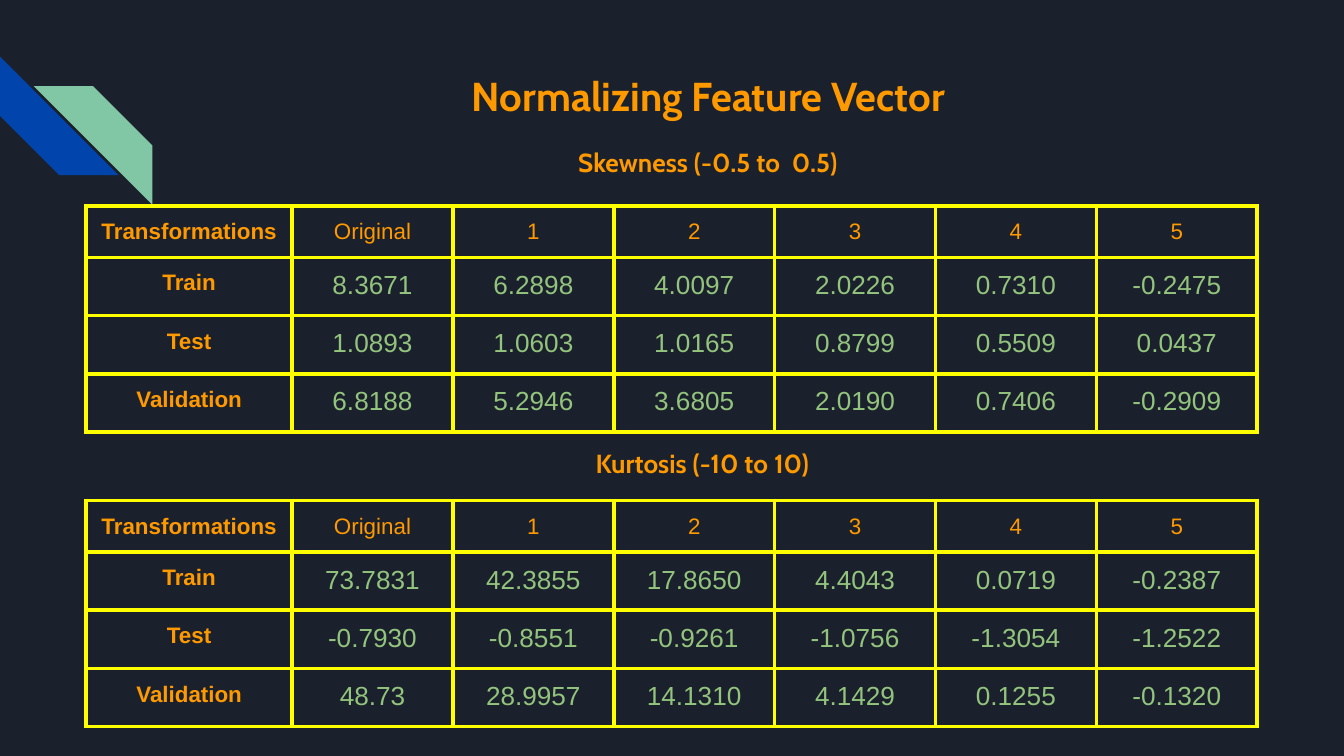
from dataclasses import dataclass

from lxml.etree import SubElement
from pptx import Presentation
from pptx.dml.color import RGBColor
from pptx.enum.shapes import MSO_SHAPE as Shape
from pptx.enum.text import MSO_ANCHOR as Anchor, PP_ALIGN as Align
from pptx.oxml.ns import qn
from pptx.util import Cm, Pt

NAVY = RGBColor(0x1B, 0x21, 0x2C)
BLUE = RGBColor(0x01, 0x45, 0xAC)
MINT = RGBColor(0x82, 0xC7, 0xA5)
ORANGE = RGBColor(0xFF, 0x99, 0x00)
GREEN = RGBColor(0x93, 0xC4, 0x7D)
YELLOW = RGBColor(0xFF, 0xFF, 0x00)

INSET = Cm(0.25)
TABLE_LEFT = 1.63
LABEL_WIDTH, VALUE_WIDTH = 3.89, 3.04
HEADER_HEIGHT, ROW_HEIGHT = 0.97, 1.1
STRIPE_SIZE = 2.24
HEADER = ("Transformations", "Original", "1", "2", "3", "4", "5")


@dataclass
class Stripe:
    left: float
    top: float
    color: RGBColor
    rotation: int = 0
    flipped: bool = False


@dataclass
class Heading:
    text: str
    left: float
    top: float
    width: float
    height: float
    size: float


@dataclass
class Moments:
    top: float
    rows: tuple[tuple[str, ...], ...]


STRIPES = (
    Stripe(0, 1.07, BLUE, rotation=270),
    Stripe(0.64, 1.63, MINT, flipped=True),
)

HEADINGS = (
    Heading("Normalizing Feature Vector", 3.61, 1.09, 19.56, 1.55, 21.6),
    Heading("Skewness (-0.5 to  0.5)", 10.13, 2.51, 6.5, 1.12, 14),
    Heading("Kurtosis (-10 to 10)", 10.24, 8.2, 6.07, 1.12, 14),
)

SKEWNESS = Moments(3.89, (
    ("Train", "8.3671", "6.2898", "4.0097", "2.0226", "0.7310", "-0.2475"),
    ("Test", "1.0893", "1.0603", "1.0165", "0.8799", "0.5509", "0.0437"),
    ("Validation", "6.8188", "5.2946", "3.6805", "2.0190", "0.7406", "-0.2909"),
))
KURTOSIS = Moments(9.46, (
    ("Train", "73.7831", "42.3855", "17.8650", "4.4043", "0.0719", "-0.2387"),
    ("Test", "-0.7930", "-0.8551", "-0.9261", "-1.0756", "-1.3054", "-1.2522"),
    ("Validation", "48.73", "28.9957", "14.1310", "4.1429", "0.1255", "-0.1320"),
))


def style(p, font: str, size: float, color: RGBColor, bold: bool) -> None:
    p.alignment = Align.CENTER
    p.font.name = font
    p.font.size = Pt(size)
    p.font.color.rgb = color
    p.font.bold = bold


def set_insets(target) -> None:
    target.margin_left = target.margin_right = INSET
    target.margin_top = target.margin_bottom = INSET
    target.vertical_anchor = Anchor.TOP


def add_stripe(s, stripe: Stripe) -> None:
    sp = s.shapes.add_shape(Shape.DIAGONAL_STRIPE, Cm(stripe.left), Cm(stripe.top),
                            Cm(STRIPE_SIZE), Cm(STRIPE_SIZE))
    sp.shadow.inherit = False
    sp.rotation = stripe.rotation
    sp.fill.solid()
    sp.fill.fore_color.rgb = stripe.color
    sp.line.fill.background()
    if stripe.flipped:
        sp._element.spPr.get_or_add_xfrm().set("flipH", "1")


def add_heading(s, heading: Heading) -> None:
    sp = s.shapes.add_textbox(Cm(heading.left), Cm(heading.top),
                              Cm(heading.width), Cm(heading.height))
    tf = sp.text_frame
    tf.word_wrap = True
    set_insets(tf)
    p = tf.paragraphs[0]
    p.text = heading.text
    style(p, "Cabin", heading.size, ORANGE, True)


def add_borders(cell) -> None:
    props = cell._tc.get_or_add_tcPr()
    for i, side in enumerate(("lnL", "lnR", "lnT", "lnB")):
        line = props.makeelement(qn(f"a:{side}"), {"w": str(Pt(2.25))})
        fill = SubElement(line, qn("a:solidFill"))
        SubElement(fill, qn("a:srgbClr"), val=str(YELLOW))
        props.insert(i, line)  # borders come before the fill


def add_moments(s, moments: Moments) -> None:
    rows = (HEADER, *moments.rows)
    widths = [LABEL_WIDTH] + [VALUE_WIDTH] * (len(HEADER) - 1)
    heights = [HEADER_HEIGHT] + [ROW_HEIGHT] * len(moments.rows)
    table = s.shapes.add_table(len(rows), len(HEADER), Cm(TABLE_LEFT), Cm(moments.top),
                               Cm(sum(widths)), Cm(sum(heights))).table
    table.first_row = table.horz_banding = False
    for column, width in zip(table.columns, widths):
        column.width = Cm(width)
    for row, height in zip(table.rows, heights):
        row.height = Cm(height)
    for i, texts in enumerate(rows):
        for j, text in enumerate(texts):
            cell = table.cell(i, j)
            set_insets(cell)
            cell.fill.background()
            add_borders(cell)
            p = cell.text_frame.paragraphs[0]
            p.text = text
            if i and j:
                style(p, "Arial", 14, GREEN, False)
            else:
                style(p, "Arial", 12, ORANGE, j == 0)


def main() -> None:
    prs = Presentation()
    prs.slide_width, prs.slide_height = Cm(25.4), Cm(14.29)
    s = prs.slides.add_slide(prs.slide_layouts[6])
    s.background.fill.solid()
    s.background.fill.fore_color.rgb = NAVY

    # Corner decoration
    for stripe in STRIPES:
        add_stripe(s, stripe)

    # Tables of moments per transformation
    for moments in (SKEWNESS, KURTOSIS):
        add_moments(s, moments)

    # Title and table headings
    for heading in HEADINGS:
        add_heading(s, heading)

    prs.save("out.pptx")


if __name__ == "__main__":
    main()
